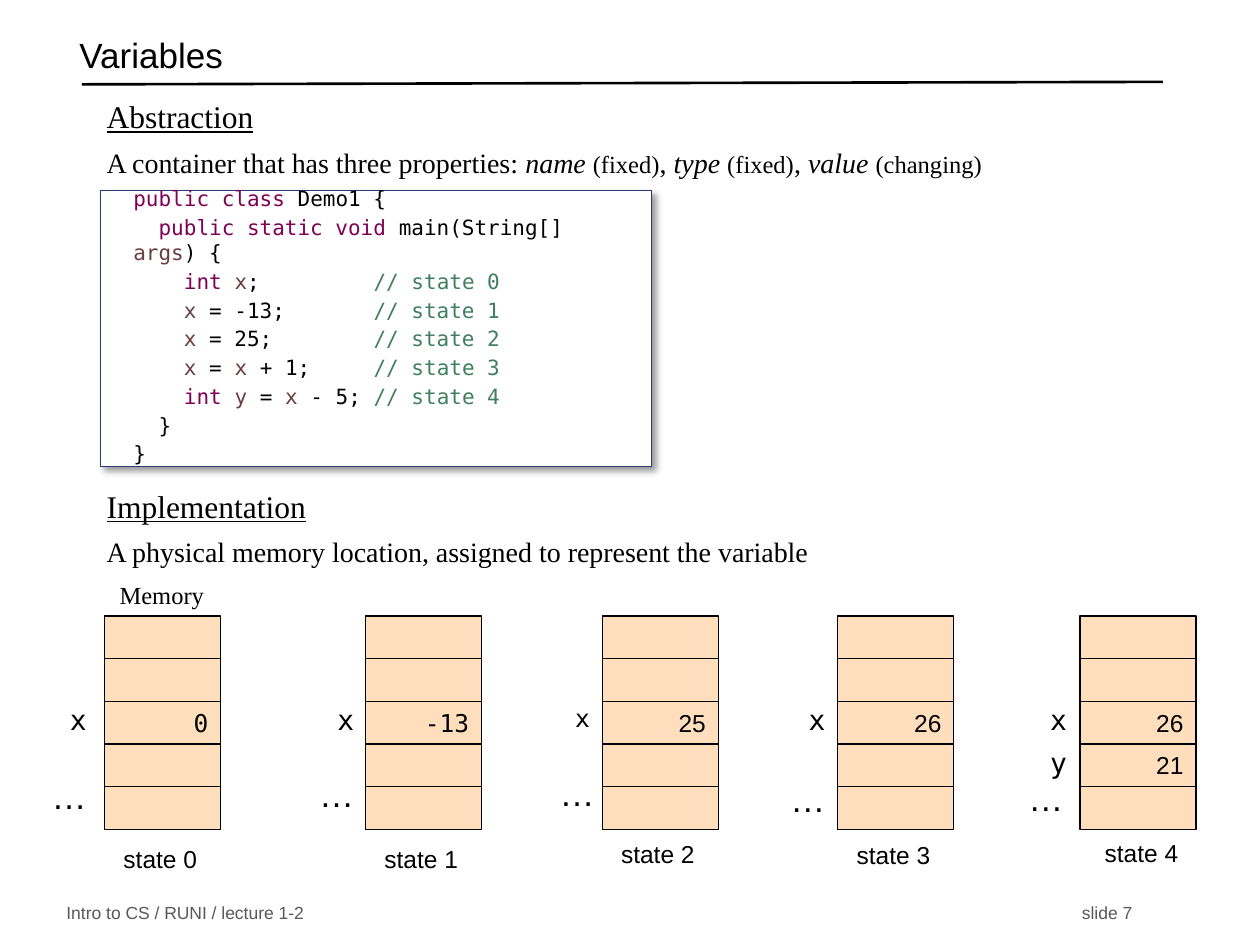
from lxml import etree
from pptx import Presentation
from pptx.dml.color import RGBColor
from pptx.enum import shapes, text
from pptx.oxml import parse_xml
from pptx.oxml.ns import nsdecls, qn
from pptx.util import Cm, Pt

COLORS = {
    "ink": "000000", "paper": "FFFFFF", "cell": "FFDEBD", "frame": "293973",
    "footer": "595959", "keyword": "7F0055", "variable": "6A3E3E", "comment": "3F7F5F",
}
SANS, SERIF, MONO = "Arial", "Times New Roman", "DejaVu Sans Mono"

# Prose runs: (text, size, style)
ABSTRACTION = [
    [("Abstraction", 18, "underline")],
    [("A container that has three properties: ", 16, None),
     ("name ", 16, "italic"), ("(fixed)", 14, None), (", ", 16, None),
     ("type ", 16, "italic"), ("(fixed)", 14, None), (", ", 16, None),
     ("value ", 16, "italic"), ("(changing)", 14, None)],
]
IMPLEMENTATION = [
    [("Implementation", 18, "underline")],
    [("A physical memory location, assigned to represent the variable", 16, None)],
]

# Code runs: (text, colour)
CODE = [
    [("public class", "keyword"), (" Demo1 {", "ink")],
    [("  public static void", "keyword"), (" main(String[] ", "ink"),
     ("args", "variable"), (") {", "ink")],
    [("    int ", "keyword"), ("x", "variable"), (";         ", "ink"),
     ("// state 0", "comment")],
    [("    x", "variable"), (" = -13;       ", "ink"), ("// state 1", "comment")],
    [("    x", "variable"), (" = 25;        ", "ink"), ("// state 2", "comment")],
    [("    x", "variable"), (" = ", "ink"), ("x", "variable"), (" + 1;     ", "ink"),
     ("// state 3", "comment")],
    [("    int ", "keyword"), ("y", "variable"), (" = ", "ink"), ("x", "variable"),
     (" - 5; ", "ink"), ("// state 4", "comment")],
    [("  }", "ink")],
    [("}", "ink")],
]

# Memory states, lengths in cm; "values" maps a row to (name, value)
STATES = [
    dict(left=2.11, values={2: ("x", "0")}, font=MONO, name_size=16, name_left=-0.74,
         dots=(-0.74, 15.49), caption=(2.24, 16.89)),
    dict(left=7.37, values={2: ("x", "-13")}, font=MONO, name_size=16, name_left=4.65,
         dots=(4.65, 15.44), caption=(7.5, 16.89)),
    dict(left=12.14, values={2: ("x", "25")}, font=SANS, name_size=14, name_left=9.4,
         dots=(9.5, 15.42), caption=(12.27, 16.79)),
    dict(left=16.89, values={2: ("x", "26")}, font=SANS, name_size=16, name_left=14.15,
         dots=(14.15, 15.54), caption=(17.02, 16.81)),
    dict(left=21.77, values={2: ("x", "26"), 3: ("y", "21")}, font=SANS, name_size=16,
         name_left=19.02, dots=(18.95, 15.52), caption=(22.02, 16.76)),
]
ROWS, ROW_TOP, ROW_H, CELL_W, LABEL_W = 5, 12.42, 0.86, 2.34, 2.74

LEFT, RIGHT = text.PP_ALIGN.LEFT, text.PP_ALIGN.RIGHT
TOP, MIDDLE = text.MSO_ANCHOR.TOP, text.MSO_ANCHOR.MIDDLE


def rgb(name):
    return RGBColor.from_string(COLORS[name])


def add_run(p, words, size, font=SANS, color="ink", style=None):
    r = p.add_run()
    r.text = words
    r.font.size, r.font.name = Pt(size), font
    r.font.color.rgb = rgb(color)
    if style:
        setattr(r.font, style, True)


def set_frame(sp, anchor=TOP, insets=(0.25, 0.13, 0.25, 0.13)):
    tf = sp.text_frame
    tf.word_wrap, tf.vertical_anchor = True, anchor
    tf.margin_left, tf.margin_top, tf.margin_right, tf.margin_bottom = map(Cm, insets)
    return tf


def add_label(parent, box, words, size, font=SANS, align=LEFT, anchor=TOP, color="ink"):
    tf = set_frame(parent.add_textbox(*map(Cm, box)), anchor)
    p = tf.paragraphs[0]
    p.alignment = align
    add_run(p, words, size, font, color)
    return p


def add_rect(parent, box, fill, line):
    sp = parent.add_shape(shapes.MSO_SHAPE.RECTANGLE, *map(Cm, box))
    sp.shadow.inherit = False
    sp.fill.solid()
    sp.fill.fore_color.rgb = rgb(fill)
    sp.line.color.rgb = rgb(line)
    sp.line.width = Pt(0.75)
    return sp


def fill_paragraphs(tf, lines, gap):
    """Yield (paragraph, runs) for each line, with a gap before all but the first."""
    for i, runs in enumerate(lines):
        p = tf.add_paragraph() if i else tf.paragraphs[0]
        p.alignment = LEFT
        if i:
            p.space_before = Pt(gap)
        yield p, runs


def add_prose(parent, top, lines):
    tf = set_frame(parent.add_textbox(Cm(1.9), Cm(top), Cm(21.84), Cm(1.93)))
    for p, runs in fill_paragraphs(tf, lines, 6):
        for words, size, style in runs:
            add_run(p, words, size, SERIF, style=style)


def add_code(parent):
    sp = add_rect(parent, (2.03, 3.84, 11.1, 5.56), "paper", "frame")
    sp._element.spPr.find(qn("a:effectLst")).append(parse_xml(
        f'<a:outerShdw {nsdecls("a")} blurRad="50800" dist="38100" dir="2700000" algn="tl" '
        'rotWithShape="0"><a:srgbClr val="000000"><a:alpha val="40000"/></a:srgbClr>'
        '</a:outerShdw>'))
    tf = set_frame(sp, MIDDLE, (0.66, 0.64, 0.46, 0.74))
    for p, runs in fill_paragraphs(tf, CODE, 2):
        for words, color in runs:
            add_run(p, words, 12, MONO, color)


def add_state(parent, number, state):
    group = parent.add_group_shape().shapes
    for row in range(ROWS):
        top = ROW_TOP + row * ROW_H
        sp = add_rect(group, (state["left"], top, CELL_W, ROW_H), "cell", "ink")
        if row in state["values"]:
            name, value = state["values"][row]
            p = set_frame(sp).paragraphs[0]
            p.alignment = RIGHT
            add_run(p, value, 14, state["font"])
            add_label(group, (state["name_left"], top - 0.1, LABEL_W, 0.94), name,
                      state["name_size"], MONO, RIGHT)
    add_label(group, (*state["dots"], LABEL_W, 1.12), "…", 20, align=RIGHT)
    add_label(group, (*state["caption"], LABEL_W, 0.84), f"state {number}", 14)


def add_footer(parent):
    p = add_label(parent, (1.09, 18.14, 22.4, 0.53), "Intro to CS / RUNI / lecture 1-2\tslide 7",
                  10, anchor=MIDDLE, color="footer")
    tabs = etree.SubElement(p._p.get_or_add_pPr(), qn("a:tabLst"))
    etree.SubElement(tabs, qn("a:tab"), pos=str(Cm(20.47)), algn="l")


def add_rule(parent):
    line = parent.add_connector(shapes.MSO_CONNECTOR.STRAIGHT,
                                Cm(1.65), Cm(1.7), Cm(23.44), Cm(1.65))
    line.line.color.rgb = rgb("ink")
    line.line.width = Pt(1.5)
    etree.SubElement(line._element.spPr, qn("a:effectLst"))


def main():
    prs = Presentation()
    prs.slide_width, prs.slide_height = Cm(25.4), Cm(19.05)
    s = prs.slides.add_slide(prs.slide_layouts[6])
    add_rule(s.shapes)
    add_footer(s.shapes)
    add_code(s.shapes)
    title = add_label(s.shapes, (1.35, 0.56, 21.84, 1.27), "Variables", 20, anchor=MIDDLE)
    title.line_spacing = 0.7
    for number, state in enumerate(STATES):
        add_state(s.shapes, number, state)
    add_label(s.shapes, (2.16, 11.56, 2.44, 1.07), "Memory", 14, SERIF)
    add_prose(s.shapes, 9.68, IMPLEMENTATION)
    add_prose(s.shapes, 1.83, ABSTRACTION)
    prs.save("out.pptx")


if __name__ == "__main__":
    main()
